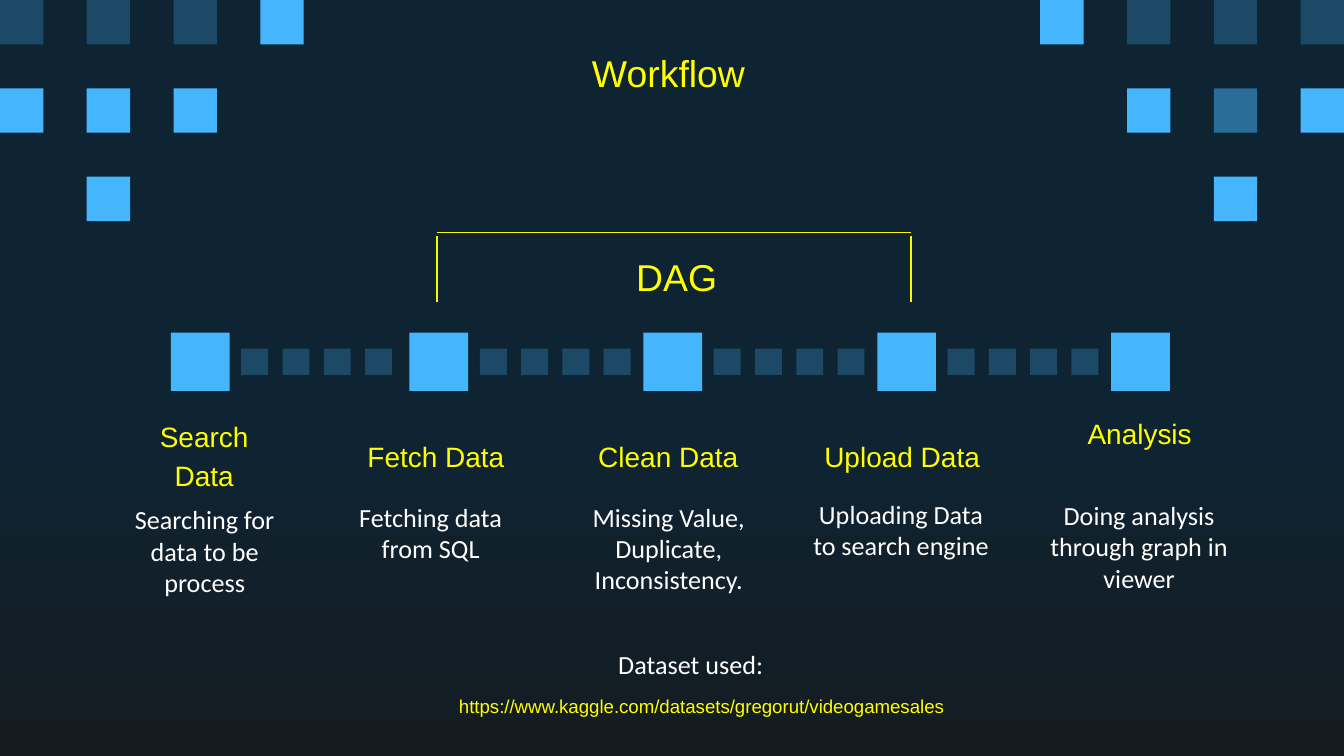
import pptx
import pptx.util
import pptx.dml.color
import pptx.enum.shapes
import pptx.enum.text
import lxml.etree

Cm = pptx.util.Cm
DARK, MID, LIGHT = "1C4966", "296D98", "45B6FE"
GOLD, WHITE = "FFFF00", "FFFFFF"


def color(code):
    return pptx.dml.color.RGBColor.from_string(code)


def square(slide, x, y, w, h, fill):
    shape = slide.shapes.add_shape(
        pptx.enum.shapes.MSO_SHAPE.RECTANGLE, Cm(x), Cm(y), Cm(w), Cm(h))
    shape.shadow.inherit = False
    shape.fill.solid()
    shape.fill.fore_color.rgb = color(fill)
    shape.line.fill.background()


def line(slide, x1, y1, x2, y2):
    link = slide.shapes.add_connector(
        pptx.enum.shapes.MSO_CONNECTOR.STRAIGHT, Cm(x1), Cm(y1), Cm(x2), Cm(y2))
    link.line.color.rgb = color("F9F900")
    link.line.width = pptx.util.Pt(0.75)
    props = link._element.spPr
    lxml.etree.SubElement(props, pptx.oxml.ns.qn("a:effectLst"))


def write(shape, lines, size, font, ink, middle=True, space=None):
    frame = shape.text_frame
    frame.word_wrap = True
    frame.auto_size = pptx.enum.text.MSO_AUTO_SIZE.NONE
    anchor = pptx.enum.text.MSO_ANCHOR
    frame.vertical_anchor = anchor.MIDDLE if middle else anchor.TOP
    for side in ("left", "top", "right", "bottom"):
        setattr(frame, "margin_" + side, Cm(0.25))
    for i, words in enumerate(lines):
        para = frame.add_paragraph() if i else frame.paragraphs[0]
        para.alignment = pptx.enum.text.PP_ALIGN.CENTER
        para.line_spacing = space
        run = para.add_run()
        run.text = words
        run.font.size = pptx.util.Pt(size)
        run.font.name = font
        run.font.color.rgb = color(ink)


def label(slide, box, lines, *style, **more):
    shape = slide.shapes.add_textbox(*map(Cm, box))
    write(shape, lines, *style, **more)


def backdrop(slide):
    fill = slide.background.fill
    fill.gradient()
    fill.gradient_angle = 270
    for stop, place, code in zip(fill.gradient_stops, (0.56, 1), ("0E2433", "141C21")):
        stop.position = place
        stop.color.rgb = color(code)


def corner(slide, edge, step, rows):
    """Squares running inward from a slide edge; None leaves a gap."""
    for r, row in enumerate(rows):
        for c, fill in enumerate(row):
            if fill:
                square(slide, edge + c * step, r * 1.67, 0.82, 0.84, fill)


def heading(slide, box, words):
    title = slide.shapes.title
    title.left, title.top, title.width, title.height = map(Cm, box)
    write(title, [words], 20, "Arial", GOLD)


def bracket(slide, box, words):
    x, y, w, h = box
    line(slide, x, y, x + w, y)
    for side in (x, x + w):
        line(slide, side, y + h, side, y + 0.08)
    label(slide, (x, y + 0.38, w + 0.1, 0.91), [words], 20, "Arial", GOLD)


def chain(slide, top, nodes):
    for i, x in enumerate(nodes):
        square(slide, x, top, 1.11, 1.1, LIGHT)
        if i < len(nodes) - 1:
            for dot in range(4):
                square(slide, x + 1.33 + dot * 0.78, top + 0.3, 0.51, 0.5, DARK)


def stage(slide, name, note, head, body):
    label(slide, head, name, 15, "Arial", GOLD, space=1.15)
    label(slide, (*body, 3.94, 1.68), [note], 14, "Calibri", WHITE, middle=False)


def source(slide, box):
    x, y, w, h = box
    label(slide, (x, y, w, 1.68), ["Dataset used:"], 14, "Calibri", WHITE, middle=False)
    label(slide, (x + 0.2, y + h - 0.91, w, 0.91),
          ["https://www.kaggle.com/datasets/gregorut/videogamesales"], 10, "Arial", GOLD)


def main():
    deck = pptx.Presentation()
    deck.slide_width, deck.slide_height = Cm(25.4), Cm(14.29)
    slide = deck.slides.add_slide(deck.slide_layouts[5])

    # Backdrop and mirrored corners
    backdrop(slide)
    top, low = [DARK, DARK, DARK, LIGHT], [None, LIGHT]
    corner(slide, 0, 1.64, [top, [LIGHT, LIGHT, LIGHT], low])
    corner(slide, 24.58, -1.64, [top, [LIGHT, MID, LIGHT], low])

    # Title, bracket and chain of steps
    heading(slide, (1.93, 0.91, 21.41, 0.91), "Workflow")
    bracket(slide, (8.26, 4.39, 8.96, 1.32), "DAG")
    chain(slide, 6.29, [3.23] + [7.74 + 4.42 * i for i in range(4)])

    # Step names and notes
    stages = [
        (["Search", "Data"], "Searching for data to be process",
         (1.09, 8.15, 5.54, 0.84), (1.9, 9.27)),
        (["Fetch Data"], "Fetching data from SQL",
         (6.35, 8.15, 3.78, 0.84), (6.17, 9.22)),
        (["Clean Data"], "Missing Value, Duplicate, Inconsistency.",
         (10.74, 8.15, 3.78, 0.84), (10.67, 9.22)),
        (["Upload Data"], "Uploading Data to search engine",
         (15.16, 8.15, 3.78, 0.84), (15.06, 9.17)),
        (["Analysis"], "Doing analysis through graph in viewer",
         (18.77, 7.59, 5.54, 1.12), (19.56, 9.19)),
    ]
    for item in stages:
        stage(slide, *item)

    # Data source
    source(slide, (7.19, 12.01, 11.73, 1.8))
    deck.save("out.pptx")


if __name__ == "__main__":
    main()
